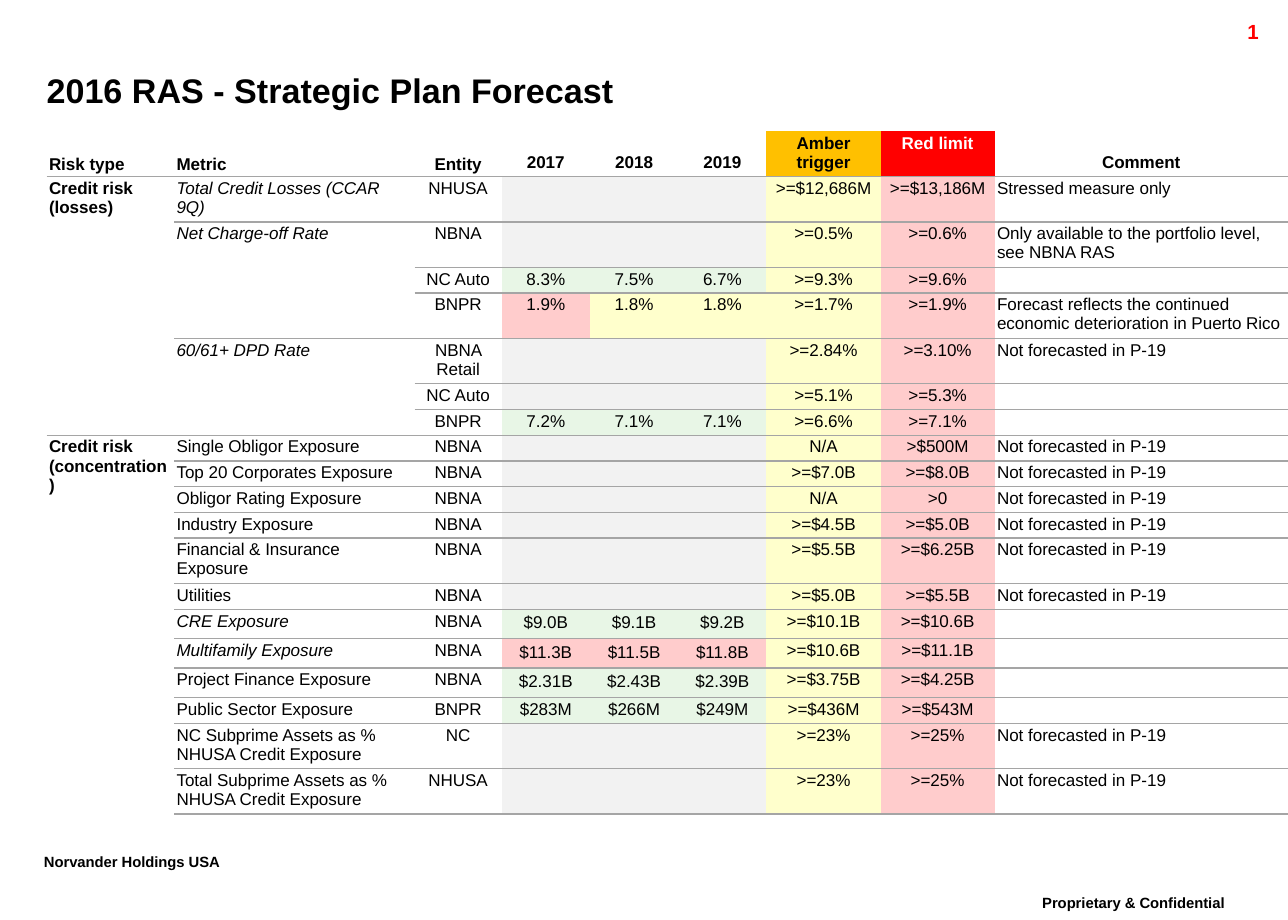
from lxml import etree
from pptx import Presentation
from pptx.dml.color import RGBColor
from pptx.enum import text as t
from pptx.oxml import ns
from pptx.util import Inches, Pt

BLACK = RGBColor(0x00, 0x00, 0x00)
WHITE = RGBColor(0xFF, 0xFF, 0xFF)
RED = RGBColor(0xFF, 0x00, 0x00)
AMBER = RGBColor(0xFF, 0xC0, 0x00)
PALE_RED = RGBColor(0xFF, 0xCC, 0xCC)
PALE_YELLOW = RGBColor(0xFF, 0xFF, 0xCC)
PALE_GREEN = RGBColor(0xE8, 0xF6, 0xE6)
GREY = RGBColor(0xF2, 0xF2, 0xF2)
RULE = RGBColor(0xA5, 0xA5, 0xA5)
STATUS = {"g": PALE_GREEN, "y": PALE_YELLOW, "r": PALE_RED, "-": GREY}

TITLE = "2016 RAS - Strategic Plan Forecast"
COMPANY = "Norvander Holdings USA"
NOTICE = "Proprietary & Confidential"
PAGE = "1"

HEADERS = ["Risk type", "Metric", "Entity", "2017", "2018", "2019",
           "Amber trigger", "Red limit", "Comment"]
WIDTHS = [1.04, 1.96, 0.71, 0.72, 0.72, 0.72, 0.93, 0.93, 2.39]
SINGLE, TALL, DOUBLE = 0.21, 0.24, 0.37
NONE = ("", "", "")
NOT_FORECAST = "Not forecasted in P-19"

ROWS = [
    (DOUBLE, "Total Credit Losses (CCAR 9Q)", "NHUSA", NONE, "---", ">=$12,686M", ">=$13,186M", "Stressed measure only"),
    (DOUBLE, "Net Charge-off Rate", "NBNA", NONE, "---", ">=0.5%", ">=0.6%",
     "Only available to the portfolio level, see NBNA RAS"),
    (SINGLE, "", "NC Auto", ("8.3%", "7.5%", "6.7%"), "ggg", ">=9.3%", ">=9.6%", ""),
    (DOUBLE, "", "BNPR", ("1.9%", "1.8%", "1.8%"), "ryy", ">=1.7%", ">=1.9%",
     "Forecast reflects the continued economic deterioration in Puerto Rico"),
    (DOUBLE, "60/61+ DPD Rate", "NBNA Retail", NONE, "---", ">=2.84%", ">=3.10%", NOT_FORECAST),
    (SINGLE, "", "NC Auto", NONE, "---", ">=5.1%", ">=5.3%", ""),
    (SINGLE, "", "BNPR", ("7.2%", "7.1%", "7.1%"), "ggg", ">=6.6%", ">=7.1%", ""),
    (SINGLE, "Single Obligor Exposure", "NBNA", NONE, "---", "N/A", ">$500M", NOT_FORECAST),
    (SINGLE, "Top 20 Corporates Exposure", "NBNA", NONE, "---", ">=$7.0B", ">=$8.0B", NOT_FORECAST),
    (SINGLE, "Obligor Rating Exposure", "NBNA", NONE, "---", "N/A", ">0", NOT_FORECAST),
    (SINGLE, "Industry Exposure", "NBNA", NONE, "---", ">=$4.5B", ">=$5.0B", NOT_FORECAST),
    (DOUBLE, "Financial & Insurance Exposure", "NBNA", NONE, "---", ">=$5.5B", ">=$6.25B", NOT_FORECAST),
    (SINGLE, "Utilities", "NBNA", NONE, "---", ">=$5.0B", ">=$5.5B", NOT_FORECAST),
    (TALL, "CRE Exposure", "NBNA", ("$9.0B", "$9.1B", "$9.2B"), "ggg", ">=$10.1B", ">=$10.6B", ""),
    (TALL, "Multifamily Exposure", "NBNA", ("$11.3B", "$11.5B", "$11.8B"), "rrr", ">=$10.6B", ">=$11.1B", ""),
    (TALL, "Project Finance Exposure", "NBNA", ("$2.31B", "$2.43B", "$2.39B"), "ggg", ">=$3.75B", ">=$4.25B", ""),
    (SINGLE, "Public Sector Exposure", "BNPR", ("$283M", "$266M", "$249M"), "ggg", ">=$436M", ">=$543M", ""),
    (DOUBLE, "NC Subprime Assets as % NHUSA Credit Exposure", "NC", NONE, "---", ">=23%", ">=25%", NOT_FORECAST),
    (DOUBLE, "Total Subprime Assets as % NHUSA Credit Exposure", "NHUSA", NONE, "---", ">=23%", ">=25%", NOT_FORECAST),
]
RISK_TYPES = {1: "Credit risk (losses)", 8: "Credit risk (concentration)"}
ITALIC = {"Total Credit Losses (CCAR 9Q)", "Net Charge-off Rate", "60/61+ DPD Rate",
          "CRE Exposure", "Multifamily Exposure"}
SPANS = [(1, 0, 7), (8, 0, 12), (2, 1, 3), (5, 1, 3)]
LEFT, CENTER, RIGHT = t.PP_ALIGN.LEFT, t.PP_ALIGN.CENTER, t.PP_ALIGN.RIGHT
TOP, MIDDLE, BOTTOM = t.MSO_ANCHOR.TOP, t.MSO_ANCHOR.MIDDLE, t.MSO_ANCHOR.BOTTOM


def write(tf, text, *, size=10, bold=False, italic=False, color=BLACK,
          align=LEFT, spacing=None, raised=False):
    p = tf.paragraphs[0]
    p.alignment = align
    if spacing:
        p.line_spacing = spacing
    if not text:
        etree.SubElement(p._p, ns.qn("a:endParaRPr"), sz=str(size * 100))
        return
    r = p.add_run()
    r.text = text
    f = r.font
    f.name, f.size, f.bold, f.italic = "Arial", Pt(size), bold, italic
    f.color.rgb = color
    if raised:
        r._r.get_or_add_rPr().set("baseline", "30000")


def add_label(s, text, x, y, w, h, **fmt):
    tf = s.shapes.add_textbox(Inches(x), Inches(y), Inches(w), Inches(h)).text_frame
    tf.word_wrap = True
    write(tf, text, bold=True, **fmt)


def add_rules(cell, sides):
    tcPr = cell._tc.get_or_add_tcPr()
    for side in sides:
        ln = etree.SubElement(tcPr, ns.qn("a:" + side), w=str(Pt(1)))
        fill = etree.SubElement(ln, ns.qn("a:solidFill"))
        etree.SubElement(fill, ns.qn("a:srgbClr"), val=str(RULE))


def fill_cell(cell, text, fill=None, inset=0.02, anchor=TOP, **fmt):
    cell.margin_left = cell.margin_right = Inches(inset)
    cell.margin_top = cell.margin_bottom = Inches(inset)
    cell.vertical_anchor = anchor
    if fill is None:
        cell.fill.background()
    else:
        cell.fill.solid()
        cell.fill.fore_color.rgb = fill
    write(cell.text_frame, text, **fmt)


def add_risk_table(s):
    heights = [DOUBLE] + [row[0] for row in ROWS]
    frame = s.shapes.add_table(len(heights), len(WIDTHS), Inches(0.38), Inches(1.07),
                               Inches(sum(WIDTHS)), Inches(sum(heights)))
    table = frame.table
    table.first_row = table.horz_banding = False
    style = frame._element.find(".//" + ns.qn("a:tableStyleId"))
    style.text = "{2D5ABB26-0587-4C30-8999-92F81FD0307C}"
    for column, width in zip(table.columns, WIDTHS):
        column.width = Inches(width)
    for row, height in zip(table.rows, heights):
        row.height = Inches(height)

    inner = set()
    for top, col, count in SPANS:
        table.cell(top, col).merge(table.cell(top + count - 1, col))
        inner |= {(r, col) for r in range(top + 1, top + count)}
    for r in range(len(heights)):
        for c in range(len(WIDTHS)):
            top_rule = r > 0 and (r, c) not in inner
            bottom_rule = (r + 1, c) not in inner
            add_rules(table.cell(r, c), ["lnT"] * top_rule + ["lnB"] * bottom_rule)

    for c, header in enumerate(HEADERS):
        limit = c in (6, 7)
        fill_cell(table.cell(0, c), header, bold=True,
                  fill={6: AMBER, 7: RED}.get(c), color=WHITE if c == 7 else BLACK,
                  anchor=TOP if limit else BOTTOM, align=LEFT if c < 2 else CENTER,
                  inset=0.04 if c in (3, 4, 5, 8) else 0.02)

    for r, (height, metric, entity, years, status, amber, red, comment) in enumerate(ROWS, 1):
        fill_cell(table.cell(r, 0), RISK_TYPES.get(r, ""), bold=True)
        fill_cell(table.cell(r, 1), metric, italic=metric in ITALIC)
        fill_cell(table.cell(r, 2), entity, align=CENTER)
        tall = height == TALL
        for c, (value, code) in enumerate(zip(years, status), 3):
            fill_cell(table.cell(r, c), value, fill=STATUS[code], align=CENTER,
                      inset=0.05 if tall else 0.02, spacing=Pt(10) if tall else None)
        fill_cell(table.cell(r, 6), amber, fill=PALE_YELLOW, align=CENTER)
        fill_cell(table.cell(r, 7), red, fill=PALE_RED, align=CENTER)
        fill_cell(table.cell(r, 8), comment)


def main():
    prs = Presentation()
    prs.slide_width, prs.slide_height = Inches(10.5), Inches(7.5)
    s = prs.slides.add_slide(prs.slide_layouts[5])

    sp = s.shapes.title
    sp.left, sp.top, sp.width, sp.height = Inches(0.38), Inches(0.49), Inches(9.48), Inches(0.48)
    tf = sp.text_frame
    tf.margin_left = tf.margin_right = tf.margin_top = tf.margin_bottom = 0
    tf.vertical_anchor = MIDDLE
    tf.auto_size = t.MSO_AUTO_SIZE.NONE
    write(tf, TITLE, size=20, bold=True)

    add_risk_table(s)
    add_label(s, PAGE, 9.36, 0.11, 1, 0.24, size=12, color=RED, align=RIGHT)
    add_label(s, COMPANY, 0.26, 6.91, 1.91, 0.35, size=15, spacing=0.86, raised=True)
    add_label(s, NOTICE, 8.15, 7.25, 2.18, 0.35, size=15, spacing=0.86, raised=True, align=CENTER)
    prs.save("out.pptx")


if __name__ == "__main__":
    main()
